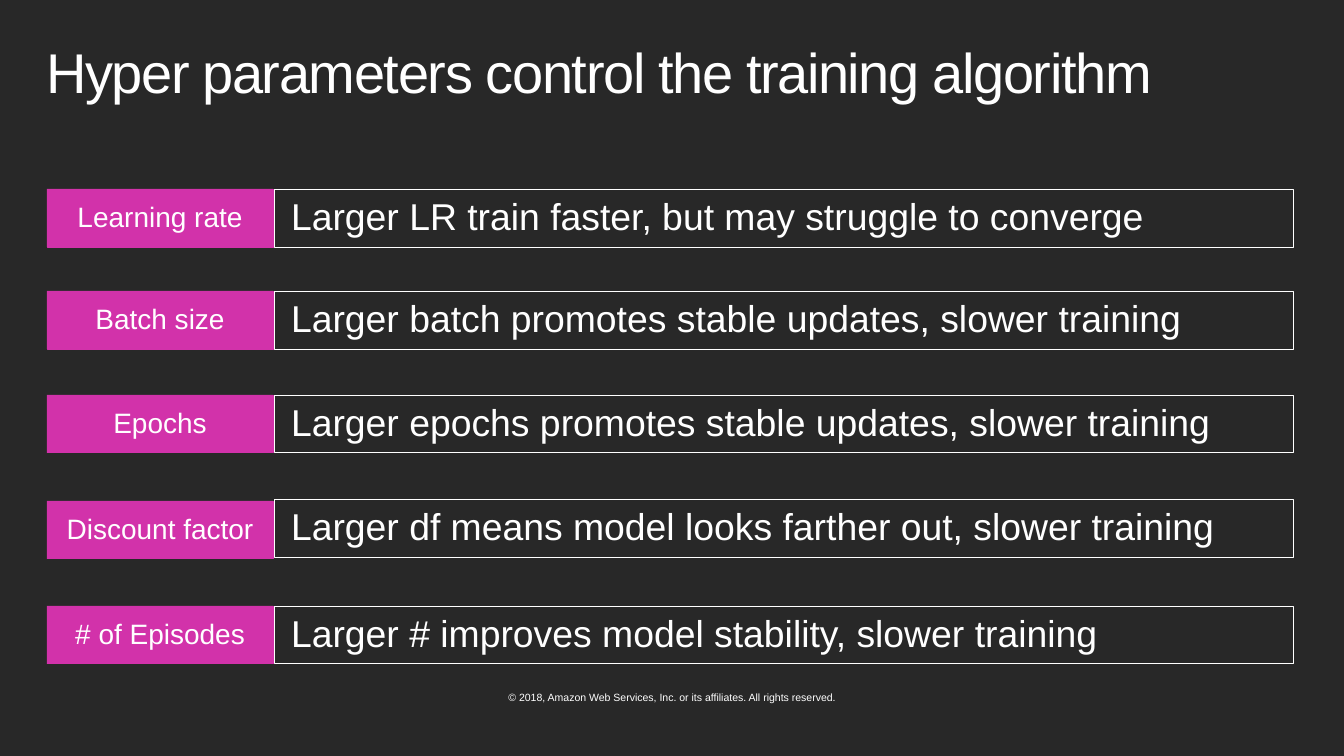
from pptx import Presentation
from pptx.dml.color import RGBColor
from pptx.enum.shapes import MSO_SHAPE
from pptx.enum.text import MSO_ANCHOR, PP_ALIGN
from pptx.util import Pt

PX = 914400 // 84
RECT = MSO_SHAPE.RECTANGLE
TOP, MIDDLE = MSO_ANCHOR.TOP, MSO_ANCHOR.MIDDLE
LEFT, CENTER = PP_ALIGN.LEFT, PP_ALIGN.CENTER

THEME = {
    "font": "Arial",
    "background": RGBColor(0x28, 0x28, 0x28),
    "text": RGBColor(0xFF, 0xFF, 0xFF),
    "accent": RGBColor(0xD2, 0x32, 0xAA),
    "title": 48,
    "label": 24,
    "body": 32,
    "copyright": 9,
}

# name, effect, label top, effect top
PARAMETERS = [
    ("Learning rate", "Larger LR train faster, but may struggle to converge", 189, 189),
    ("Batch size", "Larger batch promotes stable updates, slower training", 291, 291),
    ("Epochs", "Larger epochs promotes stable updates, slower training", 395, 395),
    ("Discount factor", "Larger df means model looks farther out, slower training", 501, 499),
    ("# of Episodes", "Larger # improves model stability, slower training", 606, 606),
]
ROW_HEIGHT = 58


def px(*lengths):
    return [n * PX for n in lengths]


def write(s, text, size, align=LEFT, anchor=TOP, inset=(17, 13),
          line_spacing=0.9, space_after=0, tracking=None):
    tf = s.text_frame
    tf.word_wrap = True
    tf.vertical_anchor = anchor
    tf.margin_left = tf.margin_right = inset[0] * PX
    tf.margin_top = tf.margin_bottom = inset[1] * PX
    p = tf.paragraphs[0]
    p.alignment = align
    p.line_spacing = line_spacing
    p.space_before = Pt(0)
    p.space_after = Pt(space_after)
    r = p.add_run()
    r.text = text
    r.font.name = THEME["font"]
    r.font.size = Pt(size)
    r.font.color.rgb = THEME["text"]
    if tracking is not None:
        r.font._element.set("spc", str(tracking))


prs = Presentation()
prs.slide_width, prs.slide_height = px(1344, 756)
s = prs.slides.add_slide(prs.slide_layouts[5])
s.background.fill.solid()
s.background.fill.fore_color.rgb = THEME["background"]

title = s.shapes.title
title.left, title.top, title.width, title.height = px(29, 32, 1285, 99)
write(title, "Hyper parameters control the training algorithm", THEME["title"],
      tracking=-120)

for name, effect, label_top, effect_top in PARAMETERS:
    for text, left, top, width, fill, line, size, align in (
        (name, 47, label_top, 226, THEME["accent"], THEME["accent"], THEME["label"], CENTER),
        (effect, 274, effect_top, 1019, None, THEME["text"], THEME["body"], LEFT),
    ):
        sp = s.shapes.add_shape(RECT, *px(left, top, width, ROW_HEIGHT))
        sp.shadow.inherit = False
        if fill is None:
            sp.fill.background()
        else:
            sp.fill.solid()
            sp.fill.fore_color.rgb = fill
        sp.line.color.rgb = line
        sp.line.width = Pt(0.75)
        write(sp, text, size, align=align, anchor=MIDDLE, space_after=18)

copyright_line = s.shapes.add_textbox(*px(490, 691, 364, 13))
write(copyright_line,
      "© 2018, Amazon Web Services, Inc. or its affiliates. All rights reserved.",
      THEME["copyright"], align=CENTER, inset=(0, 0), line_spacing=1.0)

prs.save("out.pptx")
